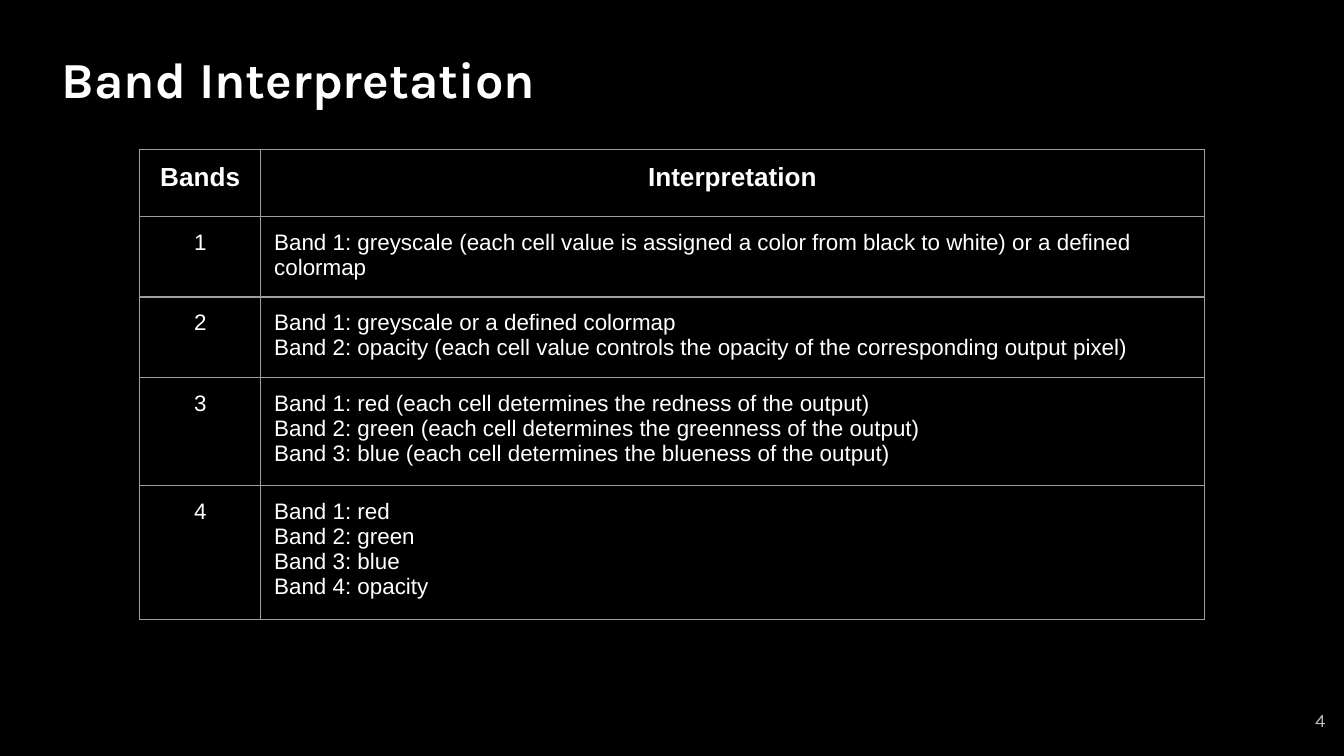
from pptx import Presentation
from pptx.dml.color import RGBColor
from pptx.enum.text import MSO_ANCHOR, PP_ALIGN
from pptx.oxml import parse_xml
from pptx.oxml.ns import nsdecls
from pptx.util import Inches, Pt

BLACK = RGBColor(0x00, 0x00, 0x00)
WHITE = RGBColor(0xFF, 0xFF, 0xFF)
GREY = RGBColor(0xBD, 0xBB, 0xB7)
RULE = RGBColor(0x9E, 0x9E, 0x9E)

SIDES = ("left", "right", "top", "bottom")


def write(frame, text, align, color, **font):
    """Fill a text frame, one paragraph per line of text."""
    frame.text = text
    for para in frame.paragraphs:
        para.alignment = align
        for run in para.runs:
            run.font.color.rgb = color
            for name, value in font.items():
                setattr(run.font, name, value)


def add_label(box, inset, *args, **font):
    """Add a text box with equal insets."""
    frame = slide.shapes.add_textbox(*map(Inches, box)).text_frame
    frame.word_wrap = True
    frame.vertical_anchor = MSO_ANCHOR.TOP
    for side in SIDES:
        setattr(frame, f"margin_{side}", Inches(inset))
    write(frame, *args, **font)


prs = Presentation()
prs.slide_width = Inches(10)
prs.slide_height = Inches(10 * 9 / 16)
slide = prs.slides.add_slide(prs.slide_layouts[6])
slide.background.fill.solid()
slide.background.fill.fore_color.rgb = BLACK

add_label((0.44, 0.34, 6.13, 0.55), 0.02, "Band Interpretation",
          PP_ALIGN.LEFT, WHITE, name="Karla", size=Pt(27), bold=True)
add_label((9.36, 5.19, 0.6, 0.43), 0.1, "4",
          PP_ALIGN.RIGHT, GREY, name="Karla", size=Pt(10))

# Least row height (rows grow with their text), band count, interpretation
rows = [
    (0.5, "Bands", "Interpretation"),
    (0.5, "1", "Band 1: greyscale (each cell value is assigned a color "
               "from black to white) or a defined colormap"),
    (0.5, "2", "Band 1: greyscale or a defined colormap\n"
               "Band 2: opacity (each cell value controls the opacity "
               "of the corresponding output pixel)"),
    (0.11, "3", "Band 1: red (each cell determines the redness of the output)\n"
                "Band 2: green (each cell determines the greenness of the output)\n"
                "Band 3: blue (each cell determines the blueness of the output)"),
    (0.11, "4", "Band 1: red\nBand 2: green\nBand 3: blue\nBand 4: opacity"),
]
widths = (0.9, 7.02)
height = sum(row[0] for row in rows)

table = slide.shapes.add_table(
    len(rows), len(widths), Inches(1.04), Inches(1.11),
    Inches(sum(widths)), Inches(height)).table
table.first_row = table.horz_banding = False
for col, width in zip(table.columns, widths):
    col.width = Inches(width)

for r, (tall, *texts) in enumerate(rows):
    table.rows[r].height = Inches(tall)
    head = r == 0
    for c, text in enumerate(texts):
        cell = table.cell(r, c)
        for side in SIDES:
            setattr(cell, f"margin_{side}", Inches(0.1))
        align = PP_ALIGN.CENTER if head or c == 0 else PP_ALIGN.LEFT
        write(cell.text_frame, text, align, WHITE, name="Arial",
              size=Pt(14 if head else 12), bold=head)
        props = cell._tc.get_or_add_tcPr()
        for edge in "LRTB":
            props.append(parse_xml(
                f'<a:ln{edge} {nsdecls("a")} w="{Pt(0.75)}"><a:solidFill>'
                f'<a:srgbClr val="{RULE}"/></a:solidFill></a:ln{edge}>'))
        cell.fill.background()

prs.save("out.pptx")
